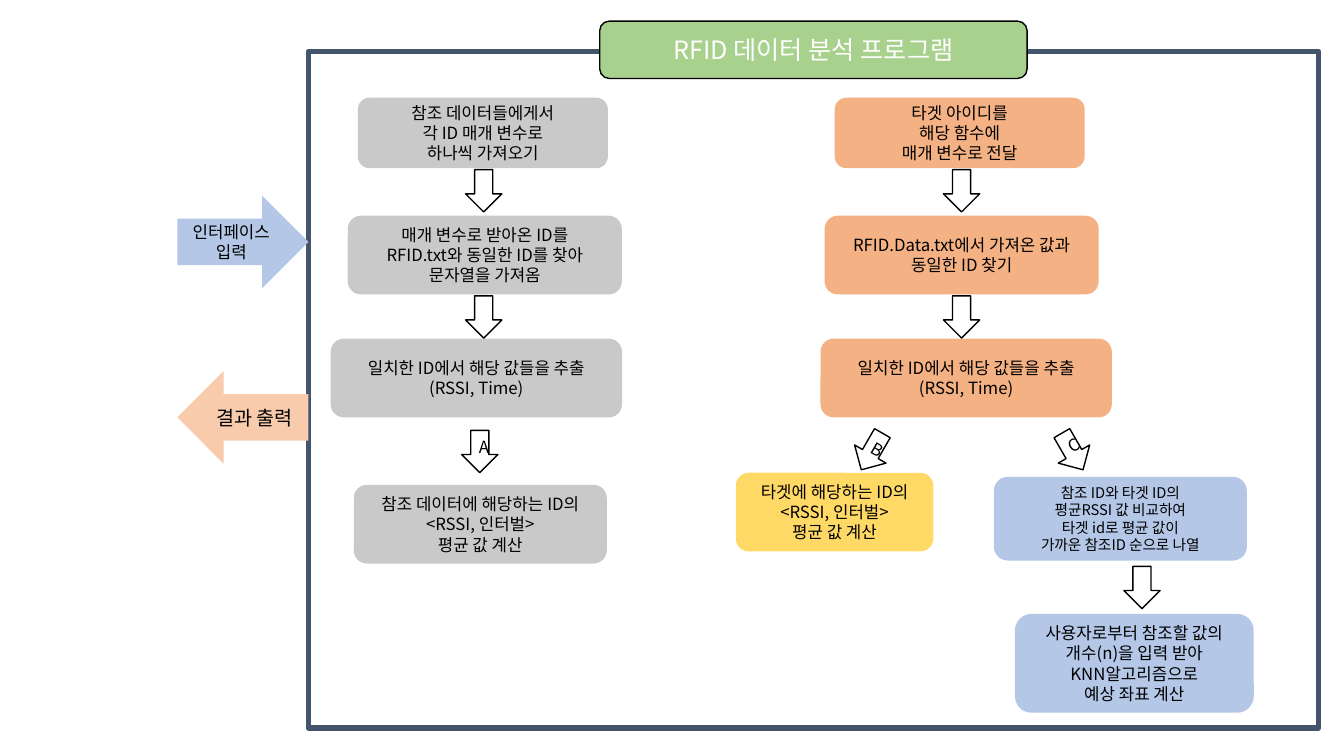
from pptx import Presentation
from pptx.dml.color import RGBColor
from pptx.enum import shapes, text
from pptx.oxml.ns import qn
from pptx.util import Pt

KIND = shapes.MSO_SHAPE

THEME = {
    "font": "Noto Sans CJK KR",
    "frame": "44546A", "black": "000000", "white": "FFFFFF",
    "green": "A9D18E", "gray": "C9C9C9", "orange": "F4B183",
    "yellow": "FFD966", "blue": "B4C7E7", "peach": "F8CBAD",
    "title": 18, "output": 14, "body": 12, "small": 10.5,
    "thick": 4, "thin": 1,
}

FRAME = (220.3, 36.7, 721.4, 483.1)
TITLE = ("RFID 데이터 분석 프로그램", (428.4, 15.1, 305.3, 41))

# kind, lines, top, fill, type size
PORTS = [
    (KIND.RIGHT_ARROW, ["인터페이스", "입력"], 139.7, "blue", "body"),
    (KIND.LEFT_ARROW, ["결과 출력"], 265, "peach", "output"),
]
PORT_WIDTH, PORT_HEIGHT = 93.6, 66.2

# top, width, height of the three steps that both columns share
STEP_ROWS = [(69.8, 178.6, 50.4), (154.1, 195.8, 56.2), (241.9, 208.1, 56.2)]
EXTRACT = ["일치한 ID에서 해당 값들을 추출", "(RSSI, Time)"]

COLUMNS = [
    {"fill": "gray", "arrow_left": 332.6, "steps": [
        (255.6, ["참조 데이터들에게서", "각 ID 매개 변수로", "하나씩 가져오기"]),
        (248.4, ["매개 변수로 받아온 ID를", "RFID.txt와 동일한 ID를 찾아",
                 "문자열을 가져옴"]),
        (236.2, EXTRACT)]},
    {"fill": "orange", "arrow_left": 673.9, "steps": [
        (596.2, ["타겟 아이디를", "해당 함수에", "매개 변수로 전달"]),
        (589, ["RFID.Data.txt에서 가져온 값과", "동일한 ID 찾기"]),
        (586.1, EXTRACT)]},
]

# lines, box, fill, type size
RESULTS = [
    (["참조 데이터에 해당하는 ID의", "<RSSI, 인터벌>", "평균 값 계산"],
     (252.7, 346.3, 180.7, 56.2), "gray", "body"),
    (["타겟에 해당하는 ID의", "<RSSI, 인터벌>", "평균 값 계산"],
     (525.6, 337.7, 141.1, 56.2), "yellow", "body"),
    (["참조 ID와 타겟 ID의", "평균RSSI 값 비교하여", "타겟 id로 평균 값이",
      "가까운 참조ID 순으로 나열"],
     (709.9, 340.6, 180.7, 59.8), "blue", "small"),
    (["사용자로부터 참조할 값의 개수(n)을 입력 받아", "KNN알고리즘으로",
      "예상 좌표 계산"],
     (725, 438.5, 170.6, 70.6), "blue", "body"),
]

# label, left, top, rotation
BRANCHES = [("A", 329.8, 307.4, 0), ("B", 609.8, 307.4, 30),
            ("C", 753.1, 307.4, 330), ("", 802.8, 404.6, 0)]
ARROW_WIDTH, ARROW_HEIGHT, ARROW_GAP = 25.9, 30.2, 1


def color(name):
    return RGBColor.from_string(THEME[name])


def write(shape, lines, size, ink):
    frame = shape.text_frame
    for key, value in {"word_wrap": True,
                       "vertical_anchor": text.MSO_ANCHOR.MIDDLE}.items():
        setattr(frame, key, value)
    for index, line in enumerate(lines):
        paragraph = frame.paragraphs[0] if index == 0 else frame.add_paragraph()
        paragraph.alignment = text.PP_ALIGN.CENTER
        run = paragraph.add_run()
        run.text = line
        for key, value in {"name": THEME["font"], "size": Pt(THEME[size])}.items():
            setattr(run.font, key, value)
        run.font.color.rgb = color(ink)
        # East Asian glyphs take their typeface from a separate element
        east_asian = run.font._element.makeelement(
            qn("a:ea"), {"typeface": THEME["font"]})
        run.font._element.find(qn("a:latin")).addnext(east_asian)


def draw(slide, kind, box, fill=None, line=None, weight="thin",
         lines=(), size="body", ink="black", rotation=0):
    shape = slide.shapes.add_shape(kind, *map(Pt, box))
    shape.shadow.inherit = False
    shape.rotation = rotation
    if fill:
        shape.fill.solid()
        shape.fill.fore_color.rgb = color(fill)
    else:
        shape.fill.background()
    if line:
        shape.line.color.rgb = color(line)
        shape.line.width = Pt(THEME[weight])
    else:
        shape.line.fill.background()
    write(shape, lines, size, ink)


def draw_flow_arrow(slide, left, top, label="", rotation=0):
    draw(slide, KIND.DOWN_ARROW, (left, top, ARROW_WIDTH, ARROW_HEIGHT),
         line="black", lines=[label] if label else [], rotation=rotation)


def main():
    deck = Presentation()
    deck.slide_width, deck.slide_height = Pt(960), Pt(540)
    slide = deck.slides.add_slide(deck.slide_layouts[6])

    draw(slide, KIND.RECTANGLE, FRAME, line="frame", weight="thick")
    heading, heading_box = TITLE
    draw(slide, KIND.ROUNDED_RECTANGLE, heading_box, "green", "black",
         lines=[heading], size="title", ink="white")

    for kind, lines, top, fill, size in PORTS:
        box = (FRAME[0] - PORT_WIDTH, top, PORT_WIDTH, PORT_HEIGHT)
        draw(slide, kind, box, fill, lines=lines, size=size)

    for column in COLUMNS:
        for (left, lines), (top, width, height) in zip(column["steps"], STEP_ROWS):
            draw(slide, KIND.ROUNDED_RECTANGLE, (left, top, width, height),
                 column["fill"], lines=lines)
        for top, _, height in STEP_ROWS[:-1]:
            draw_flow_arrow(slide, column["arrow_left"], top + height + ARROW_GAP)

    for lines, box, fill, size in RESULTS:
        draw(slide, KIND.ROUNDED_RECTANGLE, box, fill, lines=lines, size=size)
    for label, left, top, rotation in BRANCHES:
        draw_flow_arrow(slide, left, top, label, rotation)

    deck.save("out.pptx")


if __name__ == "__main__":
    main()
